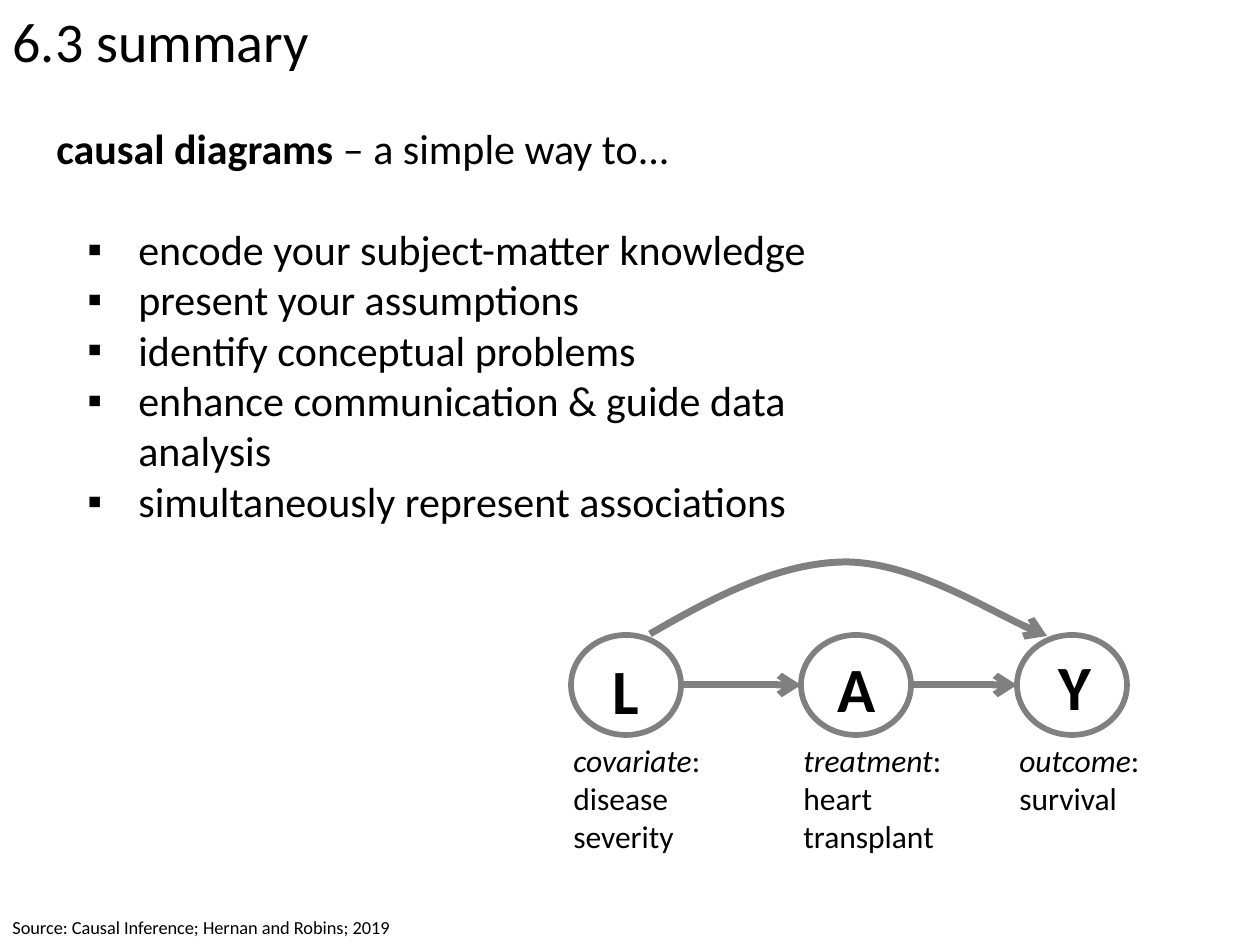
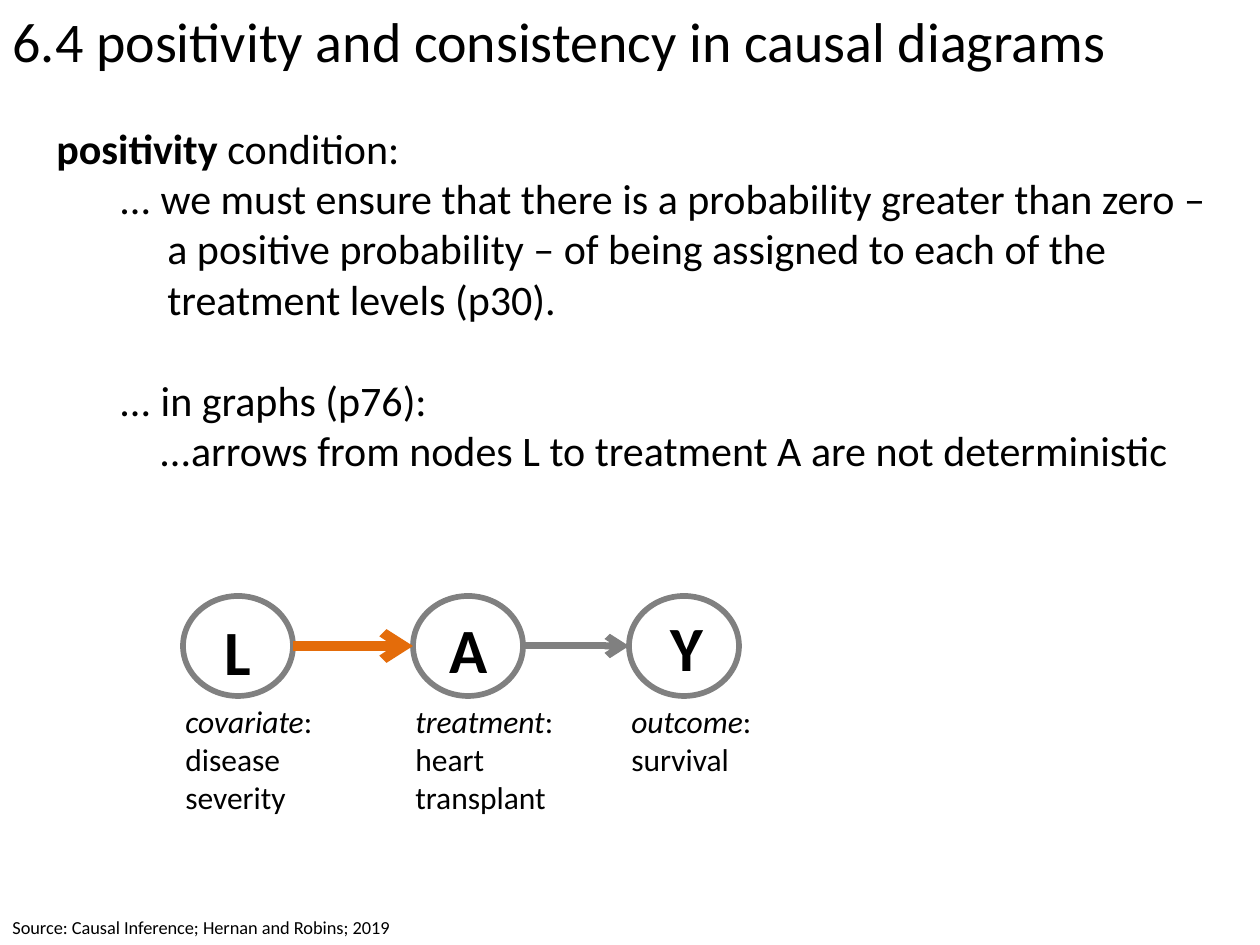
"""Build two slides on causal diagrams."""
from pptx import Presentation
from pptx.dml.color import RGBColor as Rgb
from pptx.enum.shapes import MSO_CONNECTOR as Conn, MSO_SHAPE as Kind
from pptx.enum.text import MSO_ANCHOR as Anchor, MSO_AUTO_SIZE as Fit, PP_ALIGN as Align
from pptx.oxml import parse_xml
from pptx.oxml.ns import nsdecls, qn
from pptx.oxml.xmlchemy import OxmlElement as Node
from pptx.util import Pt

PX = 914400 / 126
HUES = {"ink": "000000", "gray": "808080", "warm": "E46C0A"}
FACE = "Calibri"
SOURCE = "Source: Causal Inference; Hernan and Robins; 2019"

FORMS = {
    "head": {"level": 0, "left": 0, "first": 0},
    "list": {"level": 1, "left": 82, "first": -51, "mark": "▪"},
    "hang": {"level": 1, "left": 111, "first": -48},
    "sub": {"level": 1, "left": 103, "first": 0},
}
NODES = [
    {"x": 0, "name": "L", "spot": (29, 10, 52), "wide": 152,
     "role": "covariate", "lines": ["disease", "severity"]},
    {"x": 230, "name": "A", "spot": (24, 8, 64), "wide": 165,
     "role": "treatment", "lines": ["heart", "transplant"]},
    {"x": 446, "name": "Y", "spot": (29, 6, 58), "wide": 149,
     "role": "outcome", "lines": ["survival"]},
]
OVAL = (110, 100)
SLIDES = [
    {"title": "6.3 summary", "wide": 325, "body": (44, 116, 893, 547),
     "text": [
         ("head", 0, [("causal diagrams ", "bold"), ("– a simple way to...", "")]),
         ("list", 29, [("encode your subject-matter knowledge", "")]),
         ("list", 0, [("present your assumptions", "")]),
         ("list", 0, [("identify conceptual problems", "")]),
         ("list", 0, [("enhance communication & guide data analysis", "")]),
         ("list", 0, [("simultaneously represent associations", "")])],
     "graph": (571, 635), "links": [("gray", 4), ("gray", 4)],
     "curve": [(650, 634), (714, 597), (780, 562), (847, 562),
               (912, 563), (1013, 624), (1047, 636)]},
    {"title": "6.4 positivity and consistency in causal diagrams", "wide": 1131,
     "body": (44, 116, 1181, 411),
     "text": [
         ("head", 0, [("positivity ", "bold"), ("condition:", "")]),
         ("hang", 0, [("... we must ensure that there is a probability greater than zero – "
                       "a positive probability – of being assigned to each of the "
                       "treatment levels (p30).", "")]),
         ("hang", 29, [("... in graphs (p76):", "")]),
         ("sub", 0, [("...arrows from nodes L to treatment A are not deterministic", "")])],
     "graph": (183, 596), "links": [("warm", 5.5), ("gray", 4)], "curve": []},
]


def emu(*vals):
    """Turn px into EMU."""
    return [round(v * PX) for v in vals]


def apply(obj, vals):
    """Set each named value on an object."""
    for key, val in vals.items():
        setattr(obj, key, val)


def write(para, runs, size):
    """Add styled runs to a paragraph."""
    for text, style in runs:
        run = para.add_run()
        run.text = text
        apply(run.font, {"name": FACE, "size": Pt(size), "bold": style == "bold",
                         "italic": style == "italic"})
        run.font.color.rgb = Rgb.from_string(HUES["ink"])


def fill(shape, paras, size, wrap=False):
    """Write paragraphs, each a list of runs, and return them."""
    frame = shape.text_frame
    apply(frame, {"word_wrap": wrap, "auto_size": Fit.NONE, "vertical_anchor": Anchor.TOP})
    for num, runs in enumerate(paras):
        para = frame.add_paragraph() if num else frame.paragraphs[0]
        para.alignment = Align.LEFT
        write(para, runs, size)
    return frame.paragraphs


def label(shapes, box, paras, size, wrap=False):
    """Add a text box."""
    return fill(shapes.add_textbox(*emu(*box)), paras, size, wrap)


def shape_para(para, form, gap):
    """Set indents, gap and bullet of a paragraph."""
    apply(para, {"level": form["level"], "space_before": Pt(gap)})
    props = para._p.get_or_add_pPr()
    for key, val in zip(("marL", "indent"), emu(form["left"], form["first"])):
        props.set(key, str(val))
    if "mark" in form:
        for tag, key, val in (("buFont", "typeface", "Arial"), ("buChar", "char", form["mark"])):
            props.append(parse_xml(f'<a:{tag} {nsdecls("a")} {key}="{val}"/>'))


def stroke(line, hue, width, head=False):
    """Format a line, with an arrowhead if asked."""
    line.color.rgb = Rgb.from_string(HUES[hue])
    line.width = Pt(width)
    if head:
        line._get_or_add_ln().append(parse_xml(f'<a:tailEnd {nsdecls("a")} type="arrow"/>'))


def add_node(shapes, left, top, node):
    """Draw one lettered oval with its caption."""
    group = shapes.add_group_shape().shapes
    oval = group.add_shape(Kind.OVAL, *emu(left, top, *OVAL))
    oval.shadow.inherit = False
    oval.fill.background()
    stroke(oval.line, "gray", 3.25)
    dx, dy, wide = node["spot"]
    label(group, (left + dx, top + dy, wide, 89), [[(node["name"], "bold")]], 36)
    paras = [[(node["role"], "italic"), (":", "")]] + [[(line, "")] for line in node["lines"]]
    label(shapes, (left - 10, top + OVAL[1], node["wide"], 13 + 38 * len(paras)), paras, 18)


def add_link(shapes, start, end, y, hue, width):
    """Draw a straight arrow."""
    link = shapes.add_connector(Conn.STRAIGHT, *emu(start, y, end, y))
    stroke(link.line, hue, width, True)
    link._element.spPr.append(Node("a:effectLst"))


def add_curve(shapes, points):
    """Draw a curved arrow through Bezier points."""
    pen = shapes.build_freeform(*points[0], scale=PX)
    pen.add_line_segments(points[1:], close=False)
    arc = pen.convert_to_shape()
    steps = list(arc._element.iter(qn("a:lnTo")))
    home = steps[0].getparent()
    for at in range(0, len(steps), 3):
        bend = Node("a:cubicBezTo")
        for step in steps[at:at + 3]:
            bend.append(step[0])
            home.remove(step)
        home.append(bend)
    arc.shadow.inherit = False
    arc.fill.background()
    stroke(arc.line, "gray", 4, True)


def add_graph(shapes, data):
    """Draw the nodes and arrows of a causal graph."""
    left, top = data["graph"]
    spots = [left + node["x"] for node in NODES]
    for spot, node in zip(spots, NODES):
        add_node(shapes, spot, top, node)
    for start, end, look in zip(spots, spots[1:], data["links"]):
        add_link(shapes, start + OVAL[0], end, top + OVAL[1] / 2, *look)
    if data["curve"]:
        add_curve(shapes, data["curve"])


def add_slide(deck, data):
    """Build one slide."""
    shapes = deck.slides.add_slide(deck.slide_layouts[5]).shapes
    box = emu(0, 0, data["wide"], 81)
    apply(shapes.title, dict(zip(("left", "top", "width", "height"), box)))
    fill(shapes.title, [[(data["title"], "")]], 32)
    add_graph(shapes, data)
    paras = label(shapes, data["body"], [runs for _, _, runs in data["text"]], 24, True)
    for para, (form, gap, _) in zip(paras, data["text"]):
        shape_para(para, FORMS[form], gap)
    label(shapes, (0, 910, 411, 35), [[(SOURCE, "")]], 10.5)


def main():
    """Build and save the deck."""
    deck = Presentation()
    deck.slide_width, deck.slide_height = emu(1260, 945)
    for data in SLIDES:
        add_slide(deck, data)
    deck.save("out.pptx")


if __name__ == "__main__":
    main()
